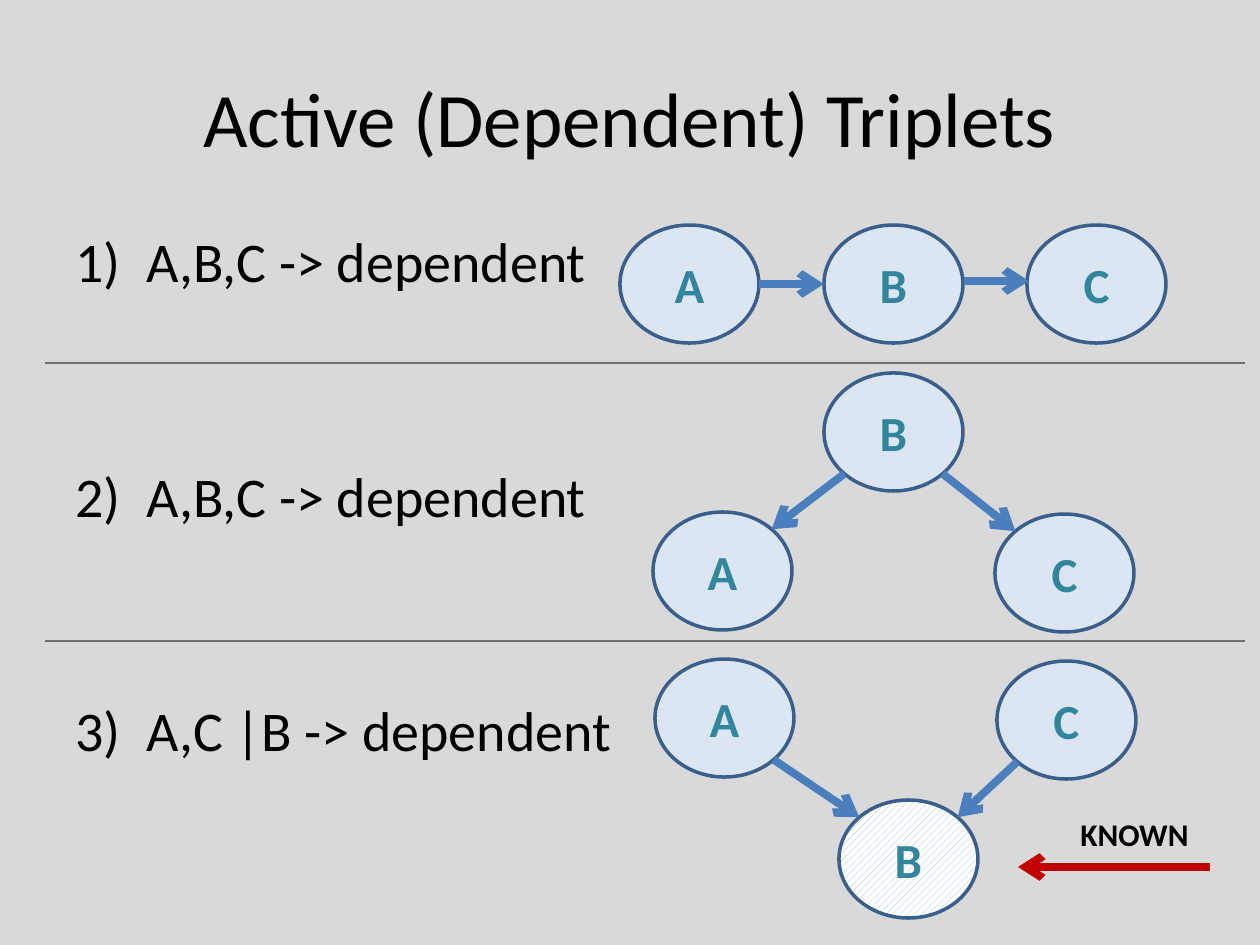
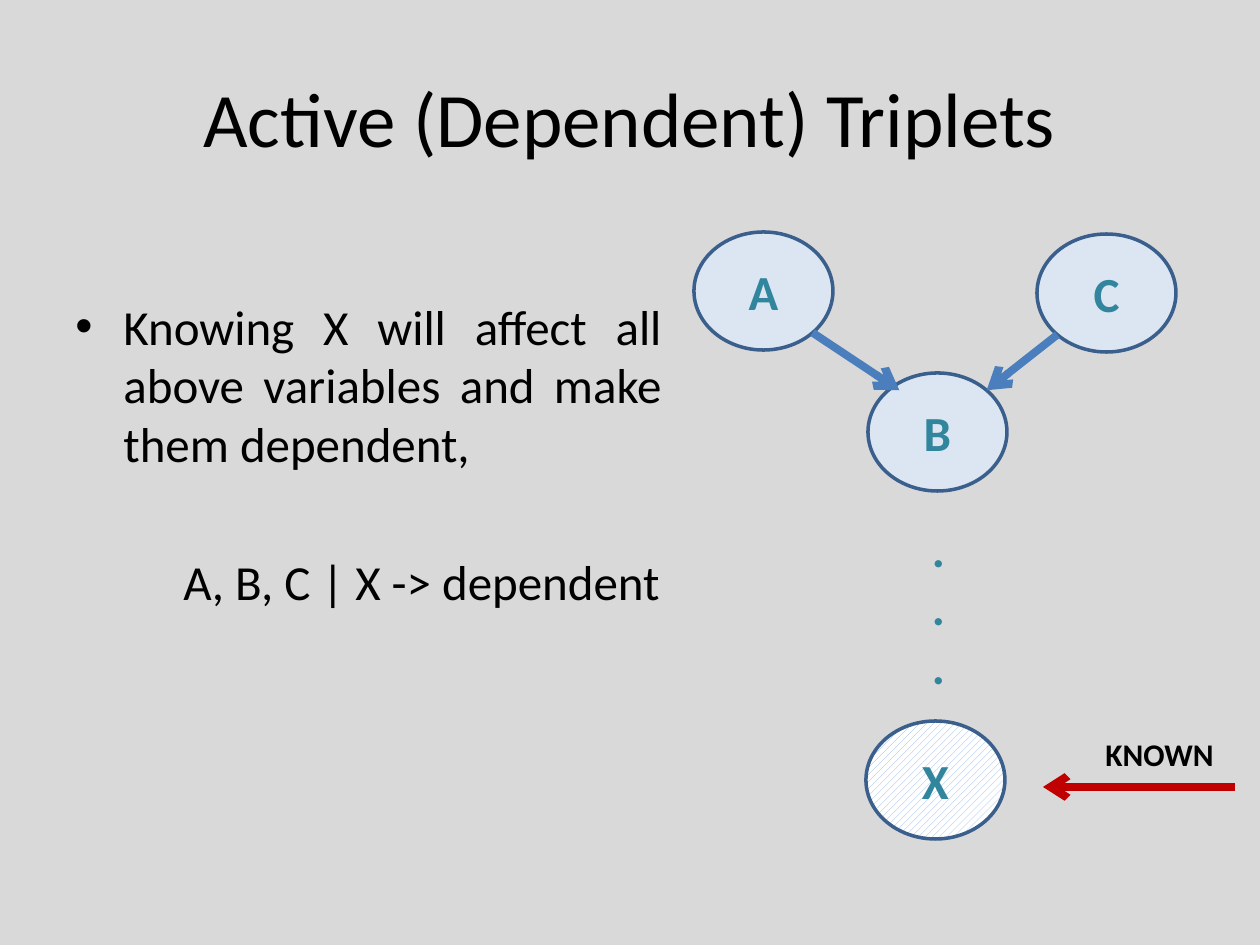
"""Builds two slides on active (dependent) triplets."""
from math import sqrt

from lxml import etree
from pptx import Presentation
from pptx.dml.color import RGBColor
from pptx.enum.dml import MSO_PATTERN
from pptx.enum.shapes import MSO_CONNECTOR, MSO_SHAPE
from pptx.enum.text import MSO_ANCHOR, PP_ALIGN
from pptx.oxml.ns import qn
from pptx.util import Emu, Pt

ELLIPSE = MSO_SHAPE.OVAL
STRAIGHT = MSO_CONNECTOR.STRAIGHT
HATCH = MSO_PATTERN.WIDE_UPWARD_DIAGONAL
LEFT, CENTER, JUSTIFY = PP_ALIGN.LEFT, PP_ALIGN.CENTER, PP_ALIGN.JUSTIFY
TOP, MIDDLE = MSO_ANCHOR.TOP, MSO_ANCHOR.MIDDLE

FONT = "Calibri"
GREY, BLACK, WHITE = "D9D9D9", "000000", "FFFFFF"
PALE, OUTLINE, TEAL, STRIPE = "DCE6F2", "3A5F8C", "31859C", "8EB4E3"
BLUE, RED, RULE = "4B7EBC", "C00000", "6F6F6F"

EMU_PER_PX = 914400 / 126
NODE_W, NODE_H = 139, 118
KNOWN_ARROW_W = 192
D = 1 / sqrt(2)
SITES = {"left": (-1, 0), "right": (1, 0), "tl": (-D, -D), "tr": (D, -D),
         "bl": (-D, D), "br": (D, D)}

TITLE = "Active (Dependent) Triplets"
TITLE_BOX = (63, 38, 1134, 157)

CASES = ["A,B,C -> dependent", "A,B,C -> dependent", "A,C |B -> dependent"]
CASES_BOX = (63, 220, 592, 624)
CASE_GAP = 95.8
RULES = [363, 641]
RULE_X = (45, 1245)

NOTE = "Knowing X will affect all above variables and make them dependent,"
CLAIM = "A, B, C | X -> dependent"
NOTE_BOX = (63, 290, 611, 554)
DOTS_BOX = (919, 512, 39, 190)

CHAIN = {
    "nodes": {"A": (620, 225), "B": (824, 225), "C": (1027, 225)},
    "edges": [("A", "right", "B", "left", (0, 0), (0, 0)),
              ("B", "right", "C", "left", (1, -3), (2, -3))],
}
FORK = {
    "nodes": {"A": (653, 512), "B": (824, 373), "C": (995, 514)},
    "edges": [("B", "bl", "A", "tr", (0, 0), (0, 0)),
              ("B", "br", "C", "tl", (0, 0), (0, 0))],
}
COLLIDER = {
    "nodes": {"A": (655, 659), "B": (839, 800), "C": (997, 661)},
    "edges": [("A", "br", "B", "tl", (0, 0), (0, 0)),
              ("C", "bl", "B", "tr", (0, 0), (0, 0))],
    "known": "B",
    "known_tip": (1018, 867),
}
DESCENDANT = {
    "nodes": {"X": (866, 721), "A": (694, 232), "B": (868, 373), "C": (1037, 234)},
    "edges": [("A", "br", "B", "tl", (0, 0), (11, 0)),
              ("C", "bl", "B", "tr", (0, 0), (0, 0))],
    "known": "X",
    "known_tip": (1043, 787),
}


def px(value):
    return Emu(round(value * EMU_PER_PX))


def rgb(value):
    return RGBColor.from_string(value)


def write(tf, texts, size, color=BLACK, bold=False, align=LEFT, anchor=TOP, wrap=True):
    tf.text = "\n".join(texts)
    tf.word_wrap = wrap
    tf.vertical_anchor = anchor
    for p in tf.paragraphs:
        p.alignment = align
        for r in p.runs:
            r.font.name = FONT
            r.font.size = Pt(size)
            r.font.bold = bold
            r.font.color.rgb = rgb(color)
    return tf.paragraphs


def add_text(s, box, texts, size, **style):
    tb = s.shapes.add_textbox(*map(px, box))
    return write(tb.text_frame, texts, size, **style)


def indent(p, margin, hanging=0):
    pPr = p._p.get_or_add_pPr()
    pPr.set("marL", str(px(margin)))
    pPr.set("indent", str(-px(hanging)))
    return pPr


def add_line(s, start, end, color, width, arrow=True):
    line = s.shapes.add_connector(STRAIGHT, *map(px, start + end))
    line.line.color.rgb = rgb(color)
    line.line.width = Pt(width)
    if arrow:
        etree.SubElement(line.line._get_or_add_ln(), qn("a:tailEnd"), type="arrow")
    etree.SubElement(line._element.spPr, qn("a:effectLst"))


def add_node(s, name, corner, known):
    sp = s.shapes.add_shape(ELLIPSE, *map(px, corner + (NODE_W, NODE_H)))
    sp.shadow.inherit = False
    if known:
        sp.fill.patterned()
        sp.fill.pattern = HATCH
        sp.fill.fore_color.rgb = rgb(STRIPE)
        sp.fill.back_color.rgb = rgb(WHITE)
    else:
        sp.fill.solid()
        sp.fill.fore_color.rgb = rgb(PALE)
    sp.line.color.rgb = rgb(OUTLINE)
    sp.line.width = Pt(2)
    write(sp.text_frame, [name], 28, color=TEAL, bold=True, align=CENTER, anchor=MIDDLE)


def site_point(corner, site, nudge):
    ux, uy = SITES[site]
    return (corner[0] + NODE_W / 2 * (1 + ux) + nudge[0],
            corner[1] + NODE_H / 2 * (1 + uy) + nudge[1])


def add_graph(s, graph):
    nodes = graph["nodes"]
    for name, corner in nodes.items():
        add_node(s, name, corner, name == graph.get("known"))
    for a, a_site, b, b_site, a_nudge, b_nudge in graph["edges"]:
        add_line(s, site_point(nodes[a], a_site, a_nudge),
                 site_point(nodes[b], b_site, b_nudge), BLUE, 4.5)
    if "known" in graph:
        x, y = graph["known_tip"]
        add_line(s, (x + KNOWN_ARROW_W, y), (x, y), RED, 4.5)
        add_text(s, (x + 49, y - 58, 135, 50), ["KNOWN"], 18,
                 bold=True, align=CENTER, wrap=False)


def add_slide(prs):
    s = prs.slides.add_slide(prs.slide_layouts[6])
    s.background.fill.solid()
    s.background.fill.fore_color.rgb = rgb(GREY)
    add_text(s, TITLE_BOX, [TITLE], 44, align=CENTER, anchor=MIDDLE)
    return s


def add_cases_slide(prs):
    s = add_slide(prs)
    for number, p in enumerate(add_text(s, CASES_BOX, CASES, 32), 1):
        p.space_before = Pt(CASE_GAP if number > 1 else 0)
        etree.SubElement(indent(p, 71, 71), qn("a:buAutoNum"),
                         type="arabicParenR", startAt=str(number))
    for graph in (CHAIN, FORK, COLLIDER):
        add_graph(s, graph)
    for y in RULES:
        add_line(s, (RULE_X[0], y), (RULE_X[1], y), RULE, 0.75, arrow=False)


def add_descendant_slide(prs):
    s = add_slide(prs)
    note, claim = add_text(s, NOTE_BOX, [NOTE, CLAIM], 28, align=JUSTIFY)
    pPr = indent(note, 48, 48)
    etree.SubElement(pPr, qn("a:buFont"), typeface="Arial")
    etree.SubElement(pPr, qn("a:buChar"), char="•")
    claim.alignment = LEFT
    claim.space_before = Pt(45)
    indent(claim, 108)
    add_graph(s, DESCENDANT)
    add_text(s, DOTS_BOX, ["."] * 3, 28, color=TEAL, bold=True, align=CENTER, wrap=False)


def main():
    prs = Presentation()
    prs.slide_width, prs.slide_height = px(1260), px(945)
    add_cases_slide(prs)
    add_descendant_slide(prs)
    prs.save("out.pptx")


if __name__ == "__main__":
    main()
